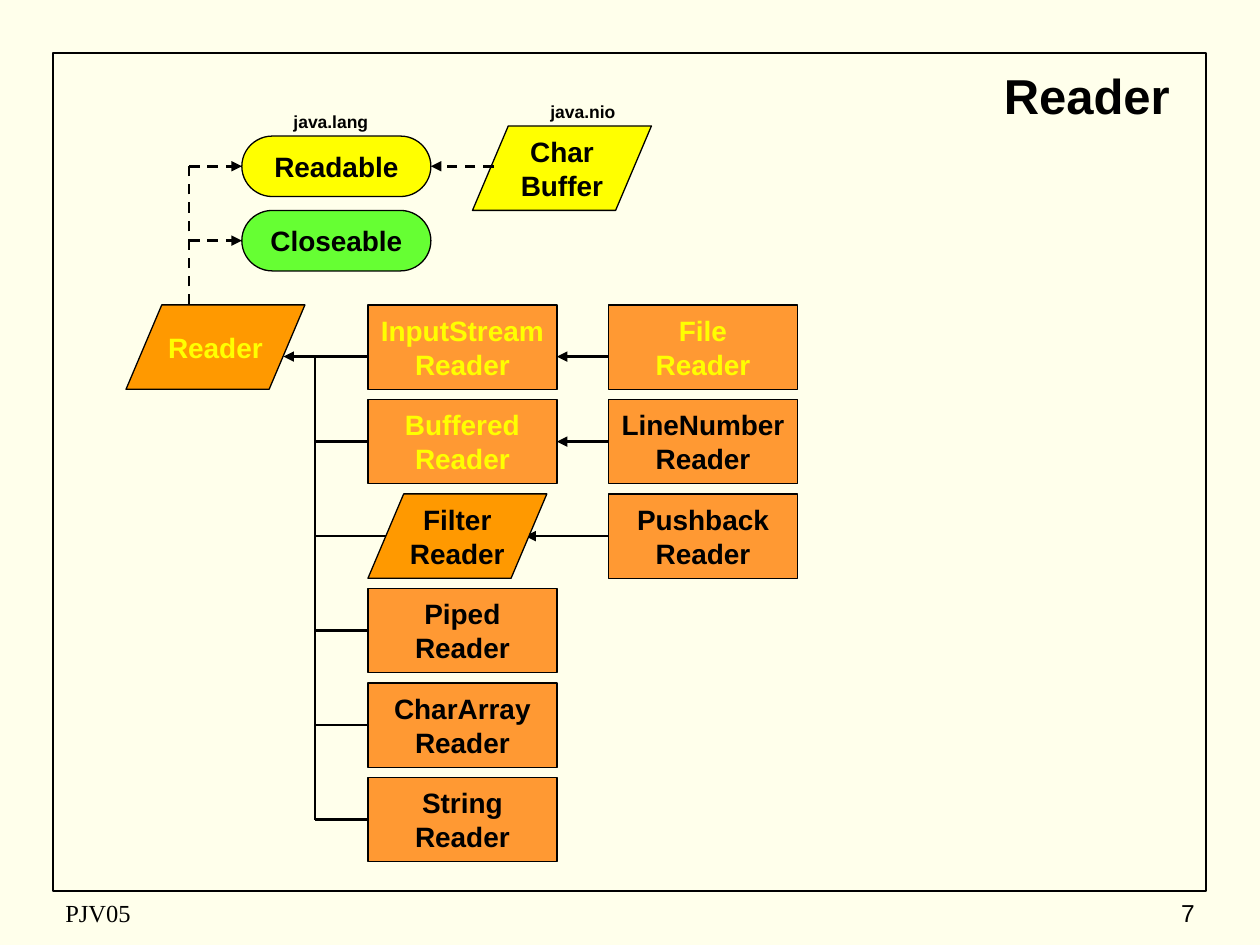
from dataclasses import dataclass
from typing import Optional

from lxml import etree
from pptx import Presentation
from pptx import util as u
from pptx.dml.color import RGBColor
from pptx.enum import dml, shapes, text
from pptx.oxml.ns import qn

BLACK, YELLOW, GREEN = "000000", "FFFF00", "66FF33"
ORANGE, AMBER, CREAM = "FF9933", "FF9900", "FFFFEB"
BOX = shapes.MSO_SHAPE.FLOWCHART_PROCESS
SLANT = shapes.MSO_SHAPE.FLOWCHART_DATA
PILL = shapes.MSO_SHAPE.FLOWCHART_TERMINATOR
SIZE = {BOX: (1.5, 0.67), SLANT: (1.42, 0.67), PILL: (1.5, 0.48)}
LEFT, MID, RIGHT = text.PP_ALIGN.LEFT, text.PP_ALIGN.CENTER, text.PP_ALIGN.RIGHT

# Grid of the class tree
TOP, STEP = 2.42, 0.75
COL1, COL2, TRUNK, STEM = 2.92, 4.83, 2.5, 1.5
ROOT_Y = 2.83


@dataclass
class Node:
    words: str
    kind: int
    x: float
    y: float
    fill: str
    ink: str = BLACK

    @property
    def mid(self) -> float:
        return self.y + SIZE[self.kind][1] / 2


@dataclass
class Link:
    x1: float
    y1: float
    x2: float
    y2: float
    tip: bool = False
    dash: bool = False
    start: Optional[str] = None  # node whose left side begins the line
    end: Optional[tuple] = None  # node and side that end the line


@dataclass
class Label:
    words: str
    x: float
    y: float
    w: float
    h: float
    size: int
    align: int
    bold: bool = True
    face: str = "Arial"
    anchor: int = text.MSO_ANCHOR.MIDDLE


def row(i: int) -> float:
    return TOP + STEP * i


def rgb(code: str) -> RGBColor:
    return RGBColor.from_string(code)


def write(frame, words: str, size: int, align: int, ink: str = BLACK,
          bold: bool = True, face: str = "Arial") -> None:
    frame.text = words
    for para in frame.paragraphs:
        para.alignment = align
        font = para.font
        font.name, font.size, font.bold = face, u.Pt(size), bold
        font.color.rgb = rgb(ink)


def add_node(slide, node: Node):
    w, h = SIZE[node.kind]
    shape = slide.shapes.add_shape(node.kind, u.Inches(node.x), u.Inches(node.y),
                                   u.Inches(w), u.Inches(h))
    shape.shadow.inherit = False
    shape.fill.solid()
    shape.fill.fore_color.rgb = rgb(node.fill)
    shape.line.color.rgb = rgb(BLACK)
    shape.line.width = u.Pt(0.75)
    frame = shape.text_frame
    frame.word_wrap = False
    frame.vertical_anchor = text.MSO_ANCHOR.MIDDLE
    write(frame, node.words, 16, MID, node.ink)
    return shape


def add_link(slide, link: Link, made: dict) -> None:
    line = slide.shapes.add_connector(
        shapes.MSO_CONNECTOR.STRAIGHT, u.Inches(link.x1), u.Inches(link.y1),
        u.Inches(link.x2), u.Inches(link.y2))
    if link.start:
        line.begin_connect(made[link.start], 1)
    if link.end:
        name, side = link.end
        line.end_connect(made[name], side)
    line.line.color.rgb = rgb(BLACK)
    line.line.width = u.Pt(1.5)
    if link.dash:
        line.line.dash_style = dml.MSO_LINE.DASH
    if link.tip:
        etree.SubElement(line.line._get_or_add_ln(), qn("a:tailEnd"), type="triangle")
    etree.SubElement(line._element.spPr, qn("a:effectLst"))


def add_label(slide, label: Label) -> None:
    box = slide.shapes.add_textbox(u.Inches(label.x), u.Inches(label.y),
                                   u.Inches(label.w), u.Inches(label.h))
    frame = box.text_frame
    frame.word_wrap = True
    frame.vertical_anchor = label.anchor
    write(frame, label.words, label.size, label.align, bold=label.bold, face=label.face)


def add_border(slide) -> None:
    rect = slide.shapes.add_shape(shapes.MSO_SHAPE.RECTANGLE, u.Inches(0.42),
                                  u.Inches(0.42), u.Inches(9.15), u.Inches(6.65))
    rect.shadow.inherit = False
    rect.fill.background()
    rect.line.color.rgb = rgb(BLACK)
    rect.line.width = u.Pt(1)


NODES = {
    "root": Node("Reader", SLANT, 1, TOP, AMBER, YELLOW),
    "input": Node("InputStream\nReader", BOX, COL1, row(0), ORANGE, YELLOW),
    "buffered": Node("Buffered\nReader", BOX, COL1, row(1), ORANGE, YELLOW),
    "piped": Node("Piped\nReader", BOX, COL1, row(3), ORANGE),
    "array": Node("CharArray\nReader", BOX, COL1, row(4), ORANGE),
    "string": Node("String\nReader", BOX, COL1, row(5), ORANGE),
    "file": Node("File\nReader", BOX, COL2, row(0), ORANGE, YELLOW),
    "number": Node("LineNumber\nReader", BOX, COL2, row(1), ORANGE),
    "pushback": Node("Pushback\nReader", BOX, COL2, row(2), ORANGE),
    "closeable": Node("Closeable", PILL, 1.92, 1.67, GREEN),
    "readable": Node("Readable", PILL, 1.92, 1.08, YELLOW),
    "chars": Node("Char\nBuffer", SLANT, 3.75, 1, YELLOW),
}
FILTER = Node("Filter\nReader", SLANT, COL1, row(2), AMBER)  # lies over its lines
MIDS = {name: node.mid for name, node in NODES.items()}

LINKS = [
    # Trunk and root arrow
    Link(TRUNK, MIDS["string"], TRUNK, ROOT_Y),
    Link(COL1, ROOT_Y, 2.25, ROOT_Y, tip=True),
    Link(3.08, FILTER.mid, TRUNK, FILTER.mid),
    # Second column
    Link(COL2, ROOT_Y, 4.42, ROOT_Y, tip=True),
    Link(COL2, MIDS["number"], 4.42, MIDS["number"], True,
         start="number", end=("buffered", 3)),
    Link(COL2, FILTER.mid, 4.17, FILTER.mid, True, start="pushback"),
    # Interfaces
    Link(STEM, TOP, STEM, 1.31, dash=True),
    Link(3.92, MIDS["readable"], 3.42, MIDS["readable"], True, True,
         end=("readable", 3)),
]
LINKS += [Link(COL1, MIDS[name], TRUNK, MIDS[name], start=name)
          for name in ("buffered", "piped", "array", "string")]
LINKS += [Link(STEM, MIDS[name], 1.92, MIDS[name], True, True, end=(name, 1))
          for name in ("readable", "closeable")]

HIGH = text.MSO_ANCHOR.TOP
LABELS = [
    Label("Reader", 7.75, 0.5, 1.75, 0.5, 28, MID),
    Label("java.lang", 2, 0.83, 1.25, 0.27, 10, MID, anchor=HIGH),
    Label("java.nio", 4, 0.75, 1.25, 0.27, 10, MID, anchor=HIGH),
    Label("PJV05", 0.42, 7.08, 3.17, 0.33, 14, LEFT, False, "Times New Roman"),
    Label("7", 7.5, 7.08, 2.08, 0.33, 14, RIGHT, False),
]


def main() -> None:
    deck = Presentation()
    deck.slide_width, deck.slide_height = u.Inches(10), u.Inches(7.5)
    slide = deck.slides.add_slide(deck.slide_layouts[6])
    slide.background.fill.solid()
    slide.background.fill.fore_color.rgb = rgb(CREAM)
    add_border(slide)
    made = {name: add_node(slide, node) for name, node in NODES.items()}
    for link in LINKS:
        add_link(slide, link, made)
    add_node(slide, FILTER)
    for label in LABELS:
        add_label(slide, label)
    deck.save("out.pptx")


if __name__ == "__main__":
    main()
